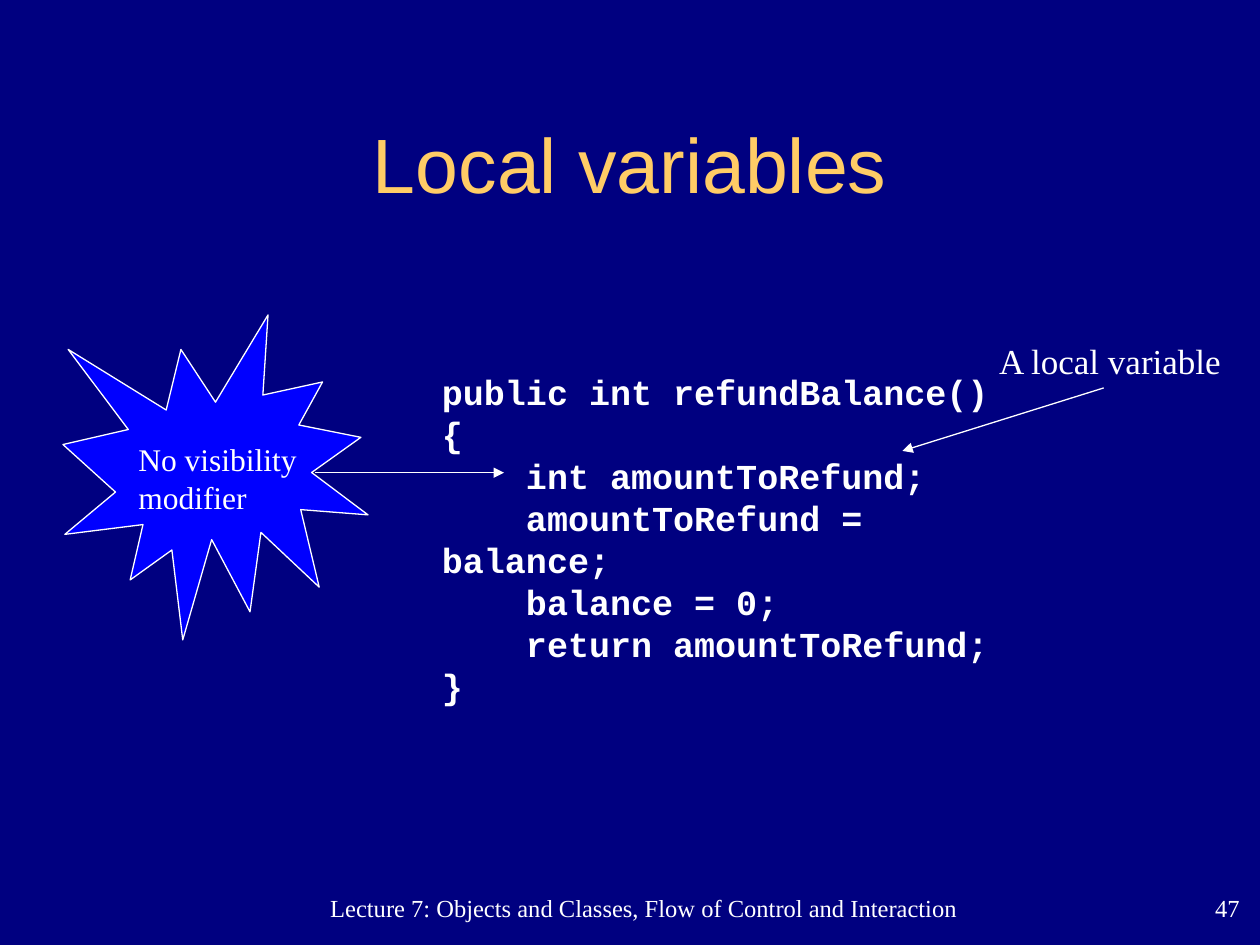
from lxml import etree
from pptx import Presentation
from pptx.dml.color import RGBColor
from pptx.enum import shapes, text
from pptx.oxml import ns
from pptx.util import Cm, Pt

hues = {"navy": "000080", "gold": "FFCC66", "white": "FFFFFF", "blue": "0000FF"}
tint = {name: RGBColor.from_string(code) for name, code in hues.items()}

deck = Presentation()
deck.slide_width, deck.slide_height = Cm(25.4), Cm(19.05)
slide = deck.slides.add_slide(deck.slide_layouts[6])
slide.background.fill.solid()
slide.background.fill.fore_color.rgb = tint["navy"]


def write(words, box, size, font="Times New Roman", hue="white", bold=False,
          align="LEFT", anchor="TOP", pad=(0.25, 0.13), lead=None, wrap=False):
    frame = slide.shapes.add_textbox(*map(Cm, box)).text_frame
    frame.word_wrap = wrap
    fit = "NONE" if wrap else "SHAPE_TO_FIT_TEXT"
    frame.auto_size = text.MSO_AUTO_SIZE[fit]
    frame.vertical_anchor = text.MSO_ANCHOR[anchor]
    frame.margin_left = frame.margin_right = Cm(pad[0])
    frame.margin_top = frame.margin_bottom = Cm(pad[1])
    frame.text = words
    for para in frame.paragraphs:
        para.alignment = text.PP_ALIGN[align]
        para.line_spacing = lead
        para.font.name, para.font.size = font, Pt(size)
        para.font.bold = bold
        para.font.color.rgb = tint[hue]


def arrow(*ends):
    line = slide.shapes.add_connector(shapes.MSO_CONNECTOR.STRAIGHT, *map(Cm, ends))
    line.line.color.rgb = tint["white"]
    line.line.width = Pt(0.75)
    etree.SubElement(line.line._get_or_add_ln(), ns.qn("a:tailEnd"), type="triangle")
    etree.SubElement(line._element.spPr, ns.qn("a:effectLst"))


code = """public int refundBalance()
{
    int amountToRefund;
    amountToRefund = balance;
    balance = 0;
    return amountToRefund;
}"""

write("Local variables", (1.9, 1.7, 21.6, 3.18), 44, font="Arial", hue="gold",
      align="CENTER", anchor="MIDDLE", wrap=True)
write(code, (8.66, 7.34, 12.8, 6.2), 20, font="Courier New", bold=True, lead=Pt(24))
write("A local variable", (19.89, 6.71, 5.03, 1.12), 20, lead=Pt(24))
arrow(22.25, 7.82, 18.19, 9.09)

burst = slide.shapes.add_shape(shapes.MSO_SHAPE.EXPLOSION1,
                               *map(Cm, (1.27, 6.35, 6.15, 6.55)))
burst.shadow.inherit = False
burst.fill.solid()
burst.fill.fore_color.rgb = tint["blue"]
burst.line.color.rgb = tint["white"]
burst.line.width = Pt(0.75)

write("No visibility\nmodifier", (2.54, 8.74, 3.7, 1.78), 18, lead=Pt(21.7))
arrow(6.35, 9.53, 10.16, 9.53)

foot = dict(size=14, pad=(0, 0), wrap=True)
write("Lecture 7: Objects and Classes, Flow of Control and Interaction",
      (5.49, 18.01, 14.99, 0.65), align="CENTER", **foot)
write("47", (21.36, 18.01, 3.63, 0.65), align="RIGHT", **foot)

deck.save("out.pptx")
